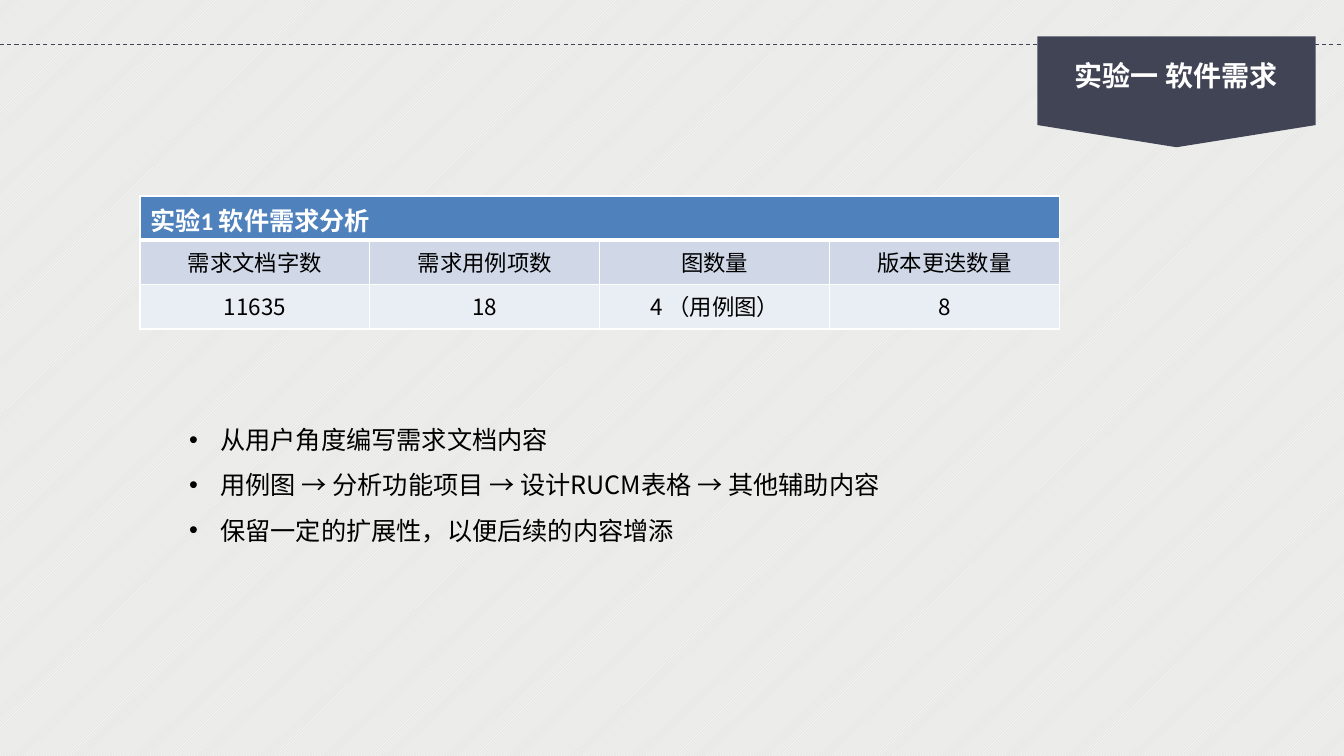
from dataclasses import dataclass

from lxml import etree
from pptx import Presentation
from pptx.dml.color import RGBColor
from pptx.enum.dml import MSO_LINE, MSO_PATTERN
from pptx.enum.shapes import MSO_CONNECTOR, MSO_SHAPE
from pptx.enum.text import MSO_ANCHOR, PP_ALIGN
from pptx.oxml.ns import qn
from pptx.util import Inches, Pt

STRIPES = MSO_PATTERN.LIGHT_UPWARD_DIAGONAL
DASH = MSO_LINE.DASH
STRAIGHT = MSO_CONNECTOR.STRAIGHT
PENNANT = MSO_SHAPE.FLOWCHART_OFFPAGE_CONNECTOR
LEFT, CENTER = PP_ALIGN.LEFT, PP_ALIGN.CENTER
TOP, BOTTOM = MSO_ANCHOR.TOP, MSO_ANCHOR.BOTTOM

WIDTH, HEIGHT = Inches(13.33), Inches(7.5)
COLUMNS, ROWS = 48, 27

BANNER = "实验一 软件需求"
TABLE_TITLE = "实验1 软件需求分析"
METRICS = [
    ["需求文档字数", "需求用例项数", "图数量", "版本更迭数量"],
    ["11635", "18", "4 （用例图）", "8"],
]
POINTS = [
    "从用户角度编写需求文档内容",
    "用例图 → 分析功能项目 → 设计RUCM表格 → 其他辅助内容",
    "保留一定的扩展性，以便后续的内容增添",
]


@dataclass(frozen=True)
class Theme:
    """Colours, fonts and type sizes of the slide."""

    dark: str = "414455"
    white: str = "FFFFFF"
    black: str = "000000"
    paper: str = "E8E8E6"
    header: str = "4F81BD"
    bands: tuple = ("D0D8E8", "E9EDF4")
    cjk: str = "Noto Sans CJK SC"
    latin: str = "Calibri"
    banner_size: int = 20
    body_size: int = 18
    cell_size: int = 16


THEME = Theme()


def rgb(code):
    """Turn a hex code into a colour."""
    return RGBColor.from_string(code)


def grid(left, top, width, height):
    """Turn grid columns and rows into slide lengths."""
    across, down = WIDTH / COLUMNS, HEIGHT / ROWS
    return [round(n) for n in (left * across, top * down, width * across, height * down)]


def paint_background(slide):
    """Fill the background with pale diagonal stripes."""
    fill = slide.background.fill
    fill.patterned()
    fill.pattern = STRIPES
    fill.fore_color.rgb = rgb(THEME.white)
    fill.back_color.rgb = rgb(THEME.paper)


def add_run(paragraph, text, size, color, bold=False, font=THEME.cjk):
    """Append one styled run with Latin and East Asian fonts."""
    run = paragraph.add_run()
    run.text = text
    run.font.size, run.font.bold, run.font.name = Pt(size), bold, font
    run.font.color.rgb = rgb(color)
    etree.SubElement(run.font._element, qn("a:ea"), typeface=THEME.cjk)


def add_dashed_rule(slide, row):
    """Draw a dashed line across the whole slide."""
    left, top, width, _ = grid(0, row, COLUMNS, 0)
    rule = slide.shapes.add_connector(STRAIGHT, left, top, left + width, top)
    rule.line.color.rgb = rgb(THEME.dark)
    rule.line.width = Pt(0.75)
    rule.line.dash_style = DASH
    etree.SubElement(rule._element.spPr, qn("a:effectLst"))


def add_pennant(slide, area):
    """Add the dark banner shape."""
    pennant = slide.shapes.add_shape(PENNANT, *grid(*area))
    pennant.shadow.inherit = False
    pennant.fill.solid()
    pennant.fill.fore_color.rgb = rgb(THEME.dark)
    pennant.line.fill.background()


def add_text_frame(slide, area, anchor, wrap):
    """Add a text box and return its text frame."""
    frame = slide.shapes.add_textbox(*grid(*area)).text_frame
    frame.word_wrap, frame.vertical_anchor = wrap, anchor
    return frame


def add_banner_label(slide, area):
    """Write the slide title on the banner."""
    title = add_text_frame(slide, area, TOP, False).paragraphs[0]
    title.alignment = CENTER
    add_run(title, BANNER, THEME.banner_size, THEME.white, True)


def add_bullets(slide, area):
    """Write the bulleted points."""
    frame = add_text_frame(slide, area, BOTTOM, True)
    for index, point in enumerate(POINTS):
        paragraph = frame.add_paragraph() if index else frame.paragraphs[0]
        paragraph.line_spacing = 1.5
        props = paragraph._p.get_or_add_pPr()
        indent = Inches(0.31)
        props.set("marL", str(indent))
        props.set("indent", str(-indent))
        etree.SubElement(props, qn("a:buFont"), typeface="Arial")
        etree.SubElement(props, qn("a:buChar"), char="•")
        add_run(paragraph, point, THEME.body_size, THEME.black)


def style_cell(cell, color, bottom=1):
    """Fill a cell and give it white borders."""
    props = cell._tc.get_or_add_tcPr()
    for side, points in (("L", 1), ("R", 1), ("T", 1), ("B", bottom)):
        border = etree.SubElement(props, qn(f"a:ln{side}"), w=str(Pt(points)))
        paint = etree.SubElement(border, qn("a:solidFill"))
        etree.SubElement(paint, qn("a:srgbClr"), val=THEME.white)
    cell.fill.solid()
    cell.fill.fore_color.rgb = rgb(color)


def add_metrics_table(slide, area):
    """Build the metrics table under one merged heading."""
    count = len(METRICS[0])
    table = slide.shapes.add_table(len(METRICS) + 1, count, *grid(*area)).table
    for column in range(count):
        style_cell(table.cell(0, column), THEME.header, 3)
    heading = table.cell(0, 0)
    heading.merge(table.cell(0, count - 1))
    title = heading.text_frame.paragraphs[0]
    title.alignment = LEFT
    add_run(title, TABLE_TITLE, THEME.body_size, THEME.white, True, THEME.latin)
    for row, (values, band) in enumerate(zip(METRICS, THEME.bands), 1):
        for column, value in enumerate(values):
            cell = table.cell(row, column)
            style_cell(cell, band)
            paragraph = cell.text_frame.paragraphs[0]
            paragraph.alignment = CENTER
            add_run(paragraph, value, THEME.cell_size, THEME.black)


def main():
    """Build and save the slide."""
    deck = Presentation()
    deck.slide_width, deck.slide_height = WIDTH, HEIGHT
    slide = deck.slides.add_slide(deck.slide_layouts[6])
    paint_background(slide)
    add_dashed_rule(slide, 1.58)
    add_pennant(slide, (37.05, 1.3, 9.94, 3.96))
    add_banner_label(slide, (37.95, 1.91, 8.1, 1.58))
    add_metrics_table(slide, (5, 7, 32.84, 4.75))
    add_bullets(slide, (6.4, 14.54, 33.16, 5.11))
    deck.save("out.pptx")


main()
